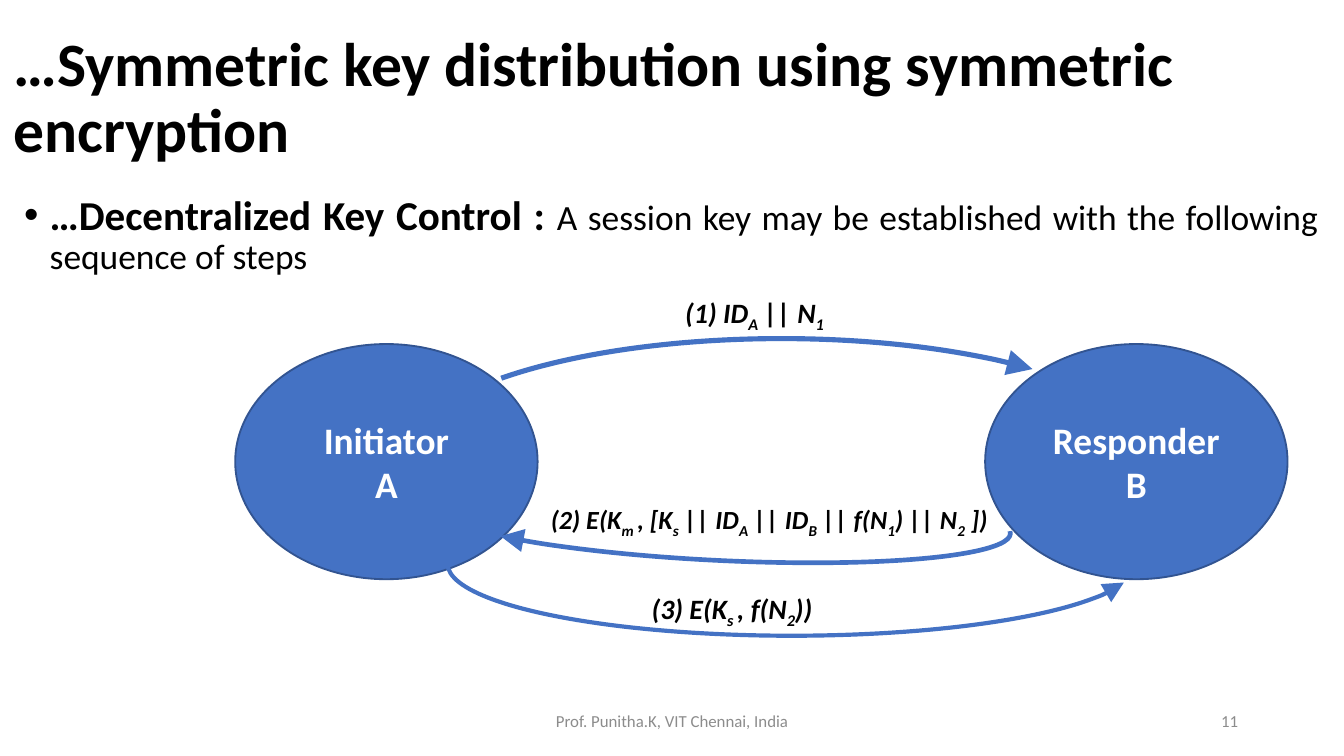
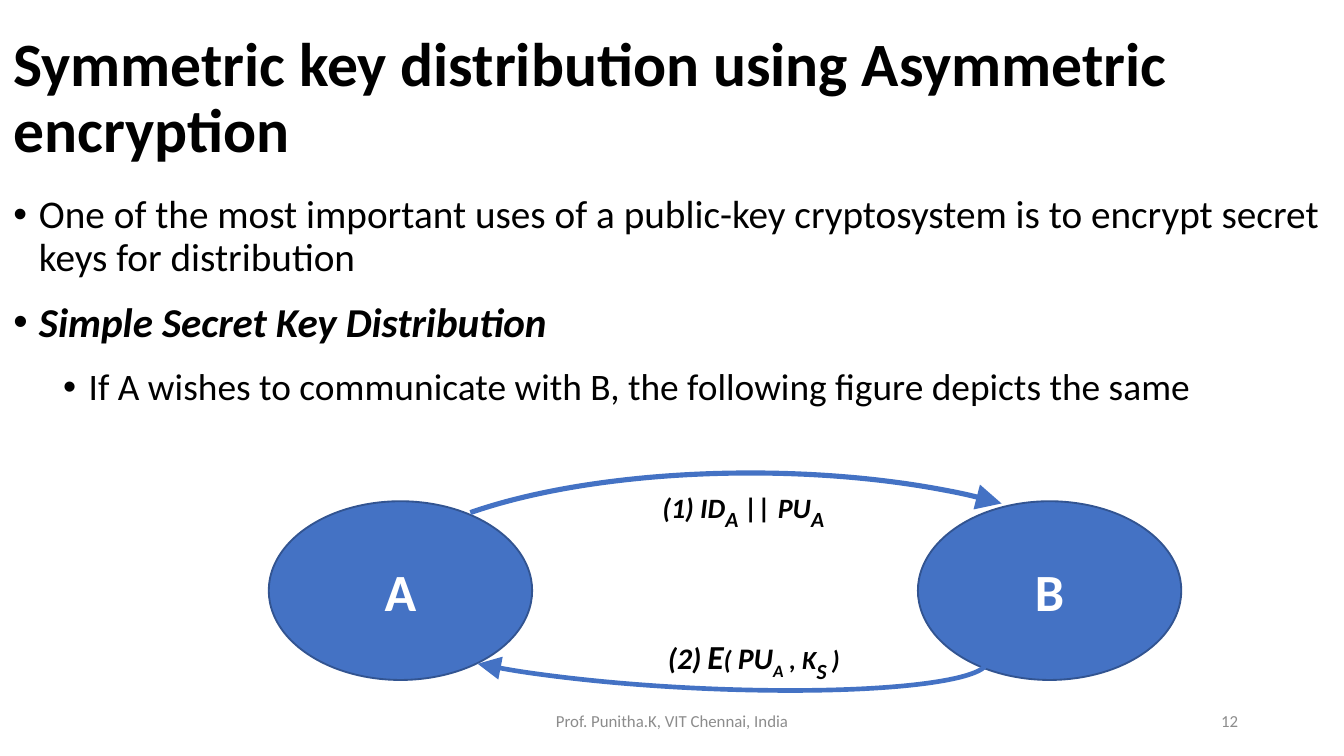
"""Build two slides on symmetric key distribution."""
from dataclasses import dataclass
from typing import NamedTuple

from lxml import etree
from pptx import Presentation
from pptx import util as u
from pptx.dml.color import RGBColor
from pptx.enum import shapes, text
from pptx.oxml.ns import qn

FONT = "Calibri"
BLACK = RGBColor(0x00, 0x00, 0x00)
WHITE = RGBColor(0xFF, 0xFF, 0xFF)
GREY = RGBColor(0x8C, 0x8C, 0x8C)
BLUE = RGBColor(0x44, 0x72, 0xC4)
DARK_BLUE = RGBColor(0x32, 0x54, 0x91)
FOOTER = "Prof. Punitha.K, VIT Chennai, India"
BULLET_INDENT = 0.19


class Box(NamedTuple):
    left: float
    top: float
    width: float
    height: float


class Run(NamedTuple):
    text: str
    size: float
    bold: bool = False
    italic: bool = False
    sub: bool = False


@dataclass
class Bullet:
    runs: list[Run]
    level: int = 0


@dataclass
class Party:
    name: str
    box: Box
    size: float


@dataclass
class Arc:
    box: Box
    start: float
    end: float
    width: float
    rotation: float = 0
    arrow: str = "tailEnd"


@dataclass
class Label:
    box: Box
    runs: list[Run]
    line_spacing: float = 1.0
    after: float = 0


@dataclass
class Page:
    number: int
    title: str
    body_box: Box
    bullets: list[Bullet]
    parties: list[Party]
    arcs: list[Arc]
    labels: list[Label]


def part(text_: str, size: float, sub: bool = False) -> Run:
    """Return a bold italic piece of a message label."""
    return Run(text_, size, True, True, sub)


def message(size: float, *texts: str) -> list[Run]:
    """Return label runs in which every second text is a subscript."""
    return [part(t, size, i % 2 == 1) for i, t in enumerate(texts)]


def request_arc(left: float, top: float) -> Arc:
    """Return the upper arc from A to B."""
    return Arc(Box(left, top, 5.67, 1.83), 117.939, 203.862, 2.75)


def reply_arc(left: float, top: float) -> Arc:
    """Return the lower arc from B to A."""
    return Arc(Box(left, top, 4.34, 0.61), 107.698, 211.709, 2.5, 182.8)


def inches(box: Box) -> list[u.Inches]:
    """Convert a box to lengths."""
    return [u.Inches(v) for v in box]


def place(sp, box: Box) -> None:
    """Move and size a shape."""
    sp.left, sp.top, sp.width, sp.height = inches(box)


def style(font, size: float, color: RGBColor, bold: bool = False, italic: bool = False) -> None:
    """Format a font."""
    font.name, font.size, font.bold, font.italic = FONT, u.Pt(size), bold, italic
    font.color.rgb = color


def add_runs(p, runs: list[Run]) -> None:
    """Append formatted runs to a paragraph."""
    for run in runs:
        r = p.add_run()
        r.text = run.text
        style(r.font, run.size, BLACK, run.bold, run.italic)
        if run.sub:
            r.font._element.set("baseline", "-25000")


def add_title(s, title: str) -> None:
    """Fill the title placeholder."""
    sp = s.shapes.title
    place(sp, Box(0, 0, 9.67, 1.48))
    tf = sp.text_frame
    tf.text = title
    tf.auto_size = text.MSO_AUTO_SIZE.NONE
    tf.vertical_anchor = text.MSO_ANCHOR.MIDDLE
    p = tf.paragraphs[0]
    p.alignment, p.line_spacing = text.PP_ALIGN.LEFT, 0.9
    style(p.runs[0].font, 33, BLACK, bold=True)


def set_bullet(p, level: int) -> None:
    """Give a paragraph a black round bullet and a hanging indent."""
    pPr = p._p.get_or_add_pPr()
    pPr.set("marL", str(u.Inches(BULLET_INDENT + 0.37 * level)))
    pPr.set("indent", str(u.Inches(-BULLET_INDENT)))
    color = etree.SubElement(pPr, qn("a:buClr"))
    etree.SubElement(color, qn("a:srgbClr")).set("val", str(BLACK))
    etree.SubElement(pPr, qn("a:buFont")).set("typeface", "Arial")
    etree.SubElement(pPr, qn("a:buChar")).set("char", "•")


def add_body(s, box: Box, bullets: list[Bullet]) -> None:
    """Fill the body placeholder with bullets."""
    sp = s.placeholders[1]
    place(sp, box)
    tf = sp.text_frame
    tf.auto_size = text.MSO_AUTO_SIZE.NONE
    for i, bullet in enumerate(bullets):
        p = tf.add_paragraph() if i else tf.paragraphs[0]
        p.level = bullet.level
        set_bullet(p, bullet.level)
        p.alignment, p.line_spacing = text.PP_ALIGN.JUSTIFY, 0.9
        p.space_before = u.Pt(12 if i else 0)
        add_runs(p, bullet.runs)


def add_footer(s, box: Box, words: str, align: text.PP_ALIGN) -> None:
    """Add a small grey text at the foot of the slide."""
    tf = s.shapes.add_textbox(*inches(box)).text_frame
    tf.word_wrap = True
    tf.vertical_anchor = text.MSO_ANCHOR.MIDDLE
    tf.text = words
    p = tf.paragraphs[0]
    p.alignment = align
    style(p.runs[0].font, 9, GREY)


def add_party(s, party: Party) -> None:
    """Add a named ellipse."""
    sp = s.shapes.add_shape(shapes.MSO_SHAPE.OVAL, *inches(party.box))
    sp.shadow.inherit = False
    sp.fill.solid()
    sp.fill.fore_color.rgb = BLUE
    sp.line.color.rgb = DARK_BLUE
    sp.line.width = u.Pt(1)
    tf = sp.text_frame
    tf.text = party.name
    tf.vertical_anchor = text.MSO_ANCHOR.MIDDLE
    for p in tf.paragraphs:
        p.alignment = text.PP_ALIGN.CENTER
        style(p.runs[0].font, party.size, WHITE, bold=True)


def add_arc(s, arc: Arc) -> None:
    """Add a curved arrow."""
    sp = s.shapes.add_shape(shapes.MSO_SHAPE.ARC, *inches(arc.box))
    sp.shadow.inherit = False
    sp.rotation = arc.rotation
    sp.adjustments[0], sp.adjustments[1] = arc.start, arc.end
    sp.fill.background()
    sp.line.color.rgb = BLUE
    sp.line.width = u.Pt(arc.width)
    head = etree.SubElement(sp.line._get_or_add_ln(), qn(f"a:{arc.arrow}"))
    for key, value in (("type", "triangle"), ("w", "lg"), ("len", "lg")):
        head.set(key, value)


def add_label(s, label: Label) -> None:
    """Add the text of one message."""
    tf = s.shapes.add_textbox(*inches(label.box)).text_frame
    tf.word_wrap = True
    tf.auto_size = text.MSO_AUTO_SIZE.SHAPE_TO_FIT_TEXT
    p = tf.paragraphs[0]
    p.line_spacing, p.space_after = label.line_spacing, u.Pt(label.after)
    add_runs(p, label.runs)


def add_page(prs, page: Page) -> None:
    """Add one slide."""
    s = prs.slides.add_slide(prs.slide_layouts[1])
    add_title(s, page.title)
    add_body(s, page.body_box, page.bullets)
    add_footer(s, Box(3.31, 5.21, 3.38, 0.3), FOOTER, text.PP_ALIGN.CENTER)
    add_footer(s, Box(7.06, 5.21, 2.25, 0.3), str(page.number), text.PP_ALIGN.RIGHT)
    for party in page.parties:
        add_party(s, party)
    for arc in page.arcs:
        add_arc(s, arc)
    for label in page.labels:
        add_label(s, label)


PAGES = [
    Page(
        11,
        "…Symmetric key distribution using symmetric encryption",
        Box(0.08, 1.4, 9.83, 3.92),
        [Bullet([
            Run("…Decentralized Key Control : ", 22, bold=True),
            Run("A session key may be established with the following sequence of steps", 19),
        ])],
        [Party("Initiator\nA", Box(1.75, 2.56, 2.25, 1.75), 20),
         Party("Responder\nB", Box(7.33, 2.56, 2.25, 1.75), 20)],
        [request_arc(2.98, 2.52),
         reply_arc(3.18, 3.56),
         Arc(Box(3.33, 3.66, 5.12, 1.07), 109.932, 0, 2.25, 180, "headEnd")],
        [Label(Box(5, 2.15, 2.08, 0.35), message(15, "(1) ID", "A", " || N", "1")),
         Label(Box(4, 3.66, 3.55, 0.75),
               message(14, "(2) E(K", "m ", ", [K", "s", " || ID", "A", " || ID", "B",
                       " || f(N", "1", ") || N", "2", " ])"), 1.15, 10),
         Label(Box(4.75, 4.31, 2, 0.39),
               message(15, "(3) E(K", "s ", ", f(N", "2", "))"), 1.15, 10)],
    ),
    Page(
        12,
        "Symmetric key distribution using Asymmetric encryption",
        Box(0, 1.4, 9.92, 3.92),
        [Bullet([Run("One of the most important uses of a public-key cryptosystem is "
                     "to encrypt secret keys for distribution", 21)]),
         Bullet([Run("Simple Secret Key Distribution", 22, True, True)]),
         Bullet([Run("If A wishes to communicate with B, the following figure "
                     "depicts the same", 20)], 1)],
        [Party("A", Box(2, 3.73, 1.96, 1.33), 28),
         Party("B", Box(6.83, 3.73, 1.96, 1.33), 28)],
        [request_arc(2.75, 3.52), reply_arc(3.01, 4.51)],
        [Label(Box(4.83, 3.53, 2.08, 0.35),
               [part("(1) ID", 15), part("A", 20, True), part(" || PU", 15),
                part("A", 20, True)]),
         Label(Box(4.87, 4.6, 3.55, 0.83),
               [part("(2)", 16), part(" ", 14), part("E", 18), part("( ", 14),
                part("PU", 16), part("A", 16, True), part(" , K", 14),
                part("S ", 20, True), part(")", 14)], 1.15, 10)],
    ),
]


def main() -> None:
    """Build and save the slides."""
    prs = Presentation()
    prs.slide_width = u.Inches(10)
    prs.slide_height = prs.slide_width * 9 // 16
    for page in PAGES:
        add_page(prs, page)
    prs.save("out.pptx")


if __name__ == "__main__":
    main()
